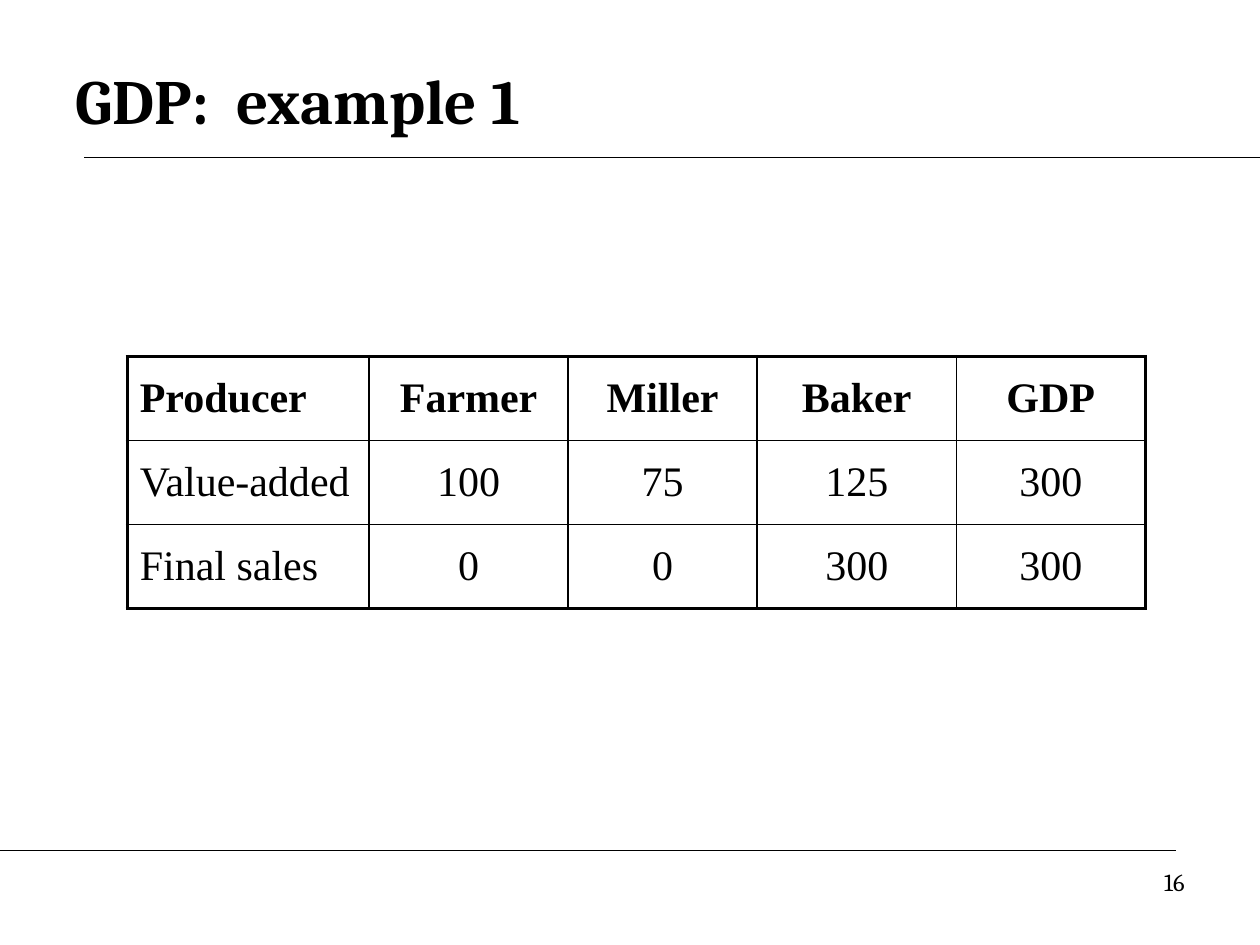
from lxml import etree
from pptx import Presentation
from pptx.dml.color import RGBColor
from pptx.enum.shapes import MSO_CONNECTOR as Connector
from pptx.enum.text import MSO_ANCHOR as Anchor, PP_ALIGN as Align
from pptx.oxml.ns import qn
from pptx.util import Inches, Pt

BLACK = RGBColor(0, 0, 0)
WHITE = RGBColor(255, 255, 255)
HEAD_FONT = "Cambria"
TABLE_FONT = "Times New Roman"
THIN, THICK = Pt(1), Pt(2.25)

COLUMN_WIDTHS = [1.92, 1.58, 1.5, 1.58, 1.5]
ROWS = [
    ["Producer", "Farmer", "Miller", "Baker", "GDP"],
    ["Value-added", "100", "75", "125", "300"],
    ["Final sales", "0", "0", "300", "300"],
]


def write(frame, text, font, size, bold=False, align=Align.LEFT):
    para = frame.paragraphs[0]
    para.alignment = align
    span = para.add_run()
    span.text = text
    span.font.name = font
    span.font.size = Pt(size)
    span.font.bold = bold
    span.font.color.rgb = BLACK


def add_text(page, left, top, width, height, text, size, anchor, **style):
    box = page.shapes.add_textbox(
        Inches(left), Inches(top), Inches(width), Inches(height))
    box.text_frame.word_wrap = True
    box.text_frame.vertical_anchor = anchor
    write(box.text_frame, text, HEAD_FONT, size, **style)


def add_rule(page, start, end, y):
    rule = page.shapes.add_connector(
        Connector.STRAIGHT, Inches(start), Inches(y), Inches(end), Inches(y))
    rule.line.color.rgb = BLACK
    rule.line.width = Pt(0.75)
    etree.SubElement(rule._element.spPr, qn("a:effectLst"))


def set_borders(cell, widths):
    """Draw the left, right, top and bottom borders in the given widths."""
    properties = cell._tc.get_or_add_tcPr()
    for side, width in zip("LRTB", widths):
        line = etree.SubElement(properties, qn(f"a:ln{side}"), w=str(width))
        fill = etree.SubElement(line, qn("a:solidFill"))
        etree.SubElement(fill, qn("a:srgbClr"), val=str(BLACK))


def add_gdp_table(page, left, top, width, height):
    row_count, column_count = len(ROWS), len(COLUMN_WIDTHS)
    table = page.shapes.add_table(
        row_count, column_count,
        Inches(left), Inches(top), Inches(width), Inches(height)).table
    for column, column_width in zip(table.columns, COLUMN_WIDTHS):
        column.width = Inches(column_width)

    for r, values in enumerate(ROWS):
        for c, value in enumerate(values):
            cell = table.cell(r, c)
            cell.vertical_anchor = Anchor.MIDDLE
            write(cell.text_frame, value, TABLE_FONT, 24, bold=r == 0,
                  align=Align.CENTER if c else Align.LEFT)
            # Thick lines on the outer edge only
            outer = (c == 0, c == column_count - 1, r == 0, r == row_count - 1)
            set_borders(cell, [THICK if edge else THIN for edge in outer])
            cell.fill.solid()
            cell.fill.fore_color.rgb = WHITE


def main():
    deck = Presentation()
    deck.slide_width, deck.slide_height = Inches(10), Inches(7.5)
    page = deck.slides.add_slide(deck.slide_layouts[6])

    # Heading and footer rules
    add_rule(page, 0.67, 10, 1.25)
    add_rule(page, 0, 9.33, 6.75)

    # Title and page number
    add_text(page, 0.5, 0.33, 9, 0.92, "GDP:  example 1", 36,
             Anchor.MIDDLE, bold=True)
    add_text(page, 7.17, 6.83, 2.33, 0.52, "16", 14,
             Anchor.TOP, align=Align.RIGHT)

    # Value added and final sales by producer
    add_gdp_table(page, 1.01, 2.83, sum(COLUMN_WIDTHS), 2)
    deck.save("out.pptx")


if __name__ == "__main__":
    main()
